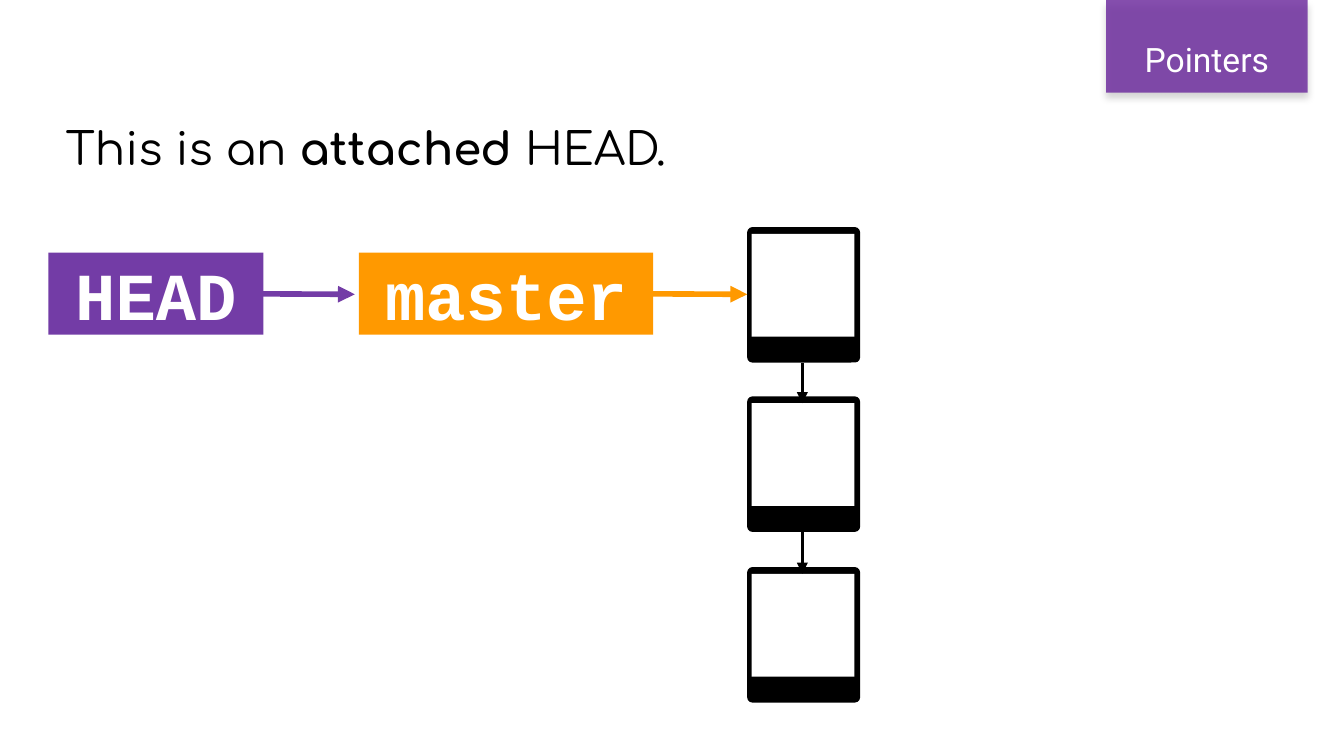
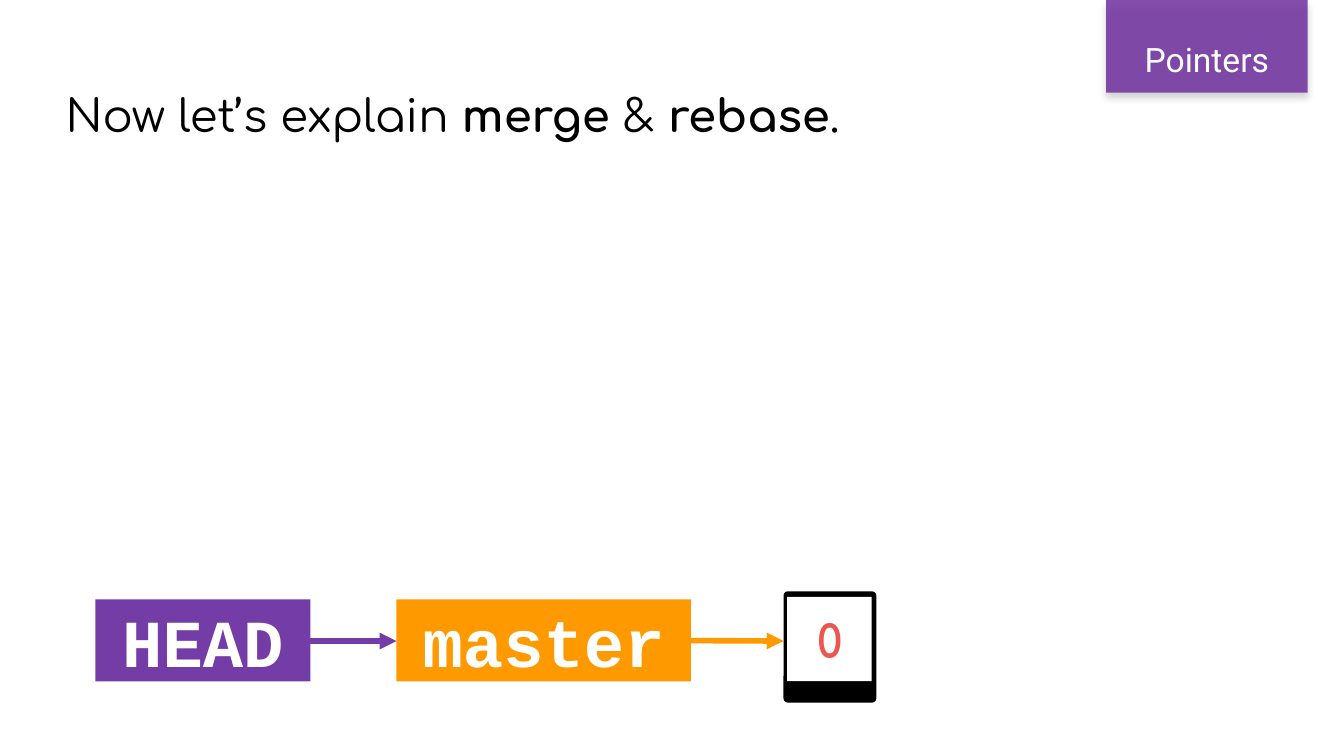
from dataclasses import dataclass

from lxml.etree import SubElement
from pptx import Presentation
from pptx.dml.color import RGBColor
from pptx.enum.shapes import MSO_CONNECTOR, MSO_SHAPE
from pptx.enum.text import MSO_ANCHOR, PP_ALIGN
from pptx.oxml.ns import qn
from pptx.util import Pt

PX = 9144  # EMU in one px, at 100 px to the inch


@dataclass(frozen=True)
class Theme:
    black: str = "000000"
    white: str = "FFFFFF"
    tag: str = "7030A0"
    head: str = "733CA6"
    branch: str = "FF9900"
    number: str = "EB574F"
    title_font: str = "Comfortaa"
    tag_font: str = "Roboto"
    code_font: str = "Courier New"
    title_size: int = 24
    tag_size: int = 18
    code_size: int = 36


THEME = Theme()


def to_emu(*lengths):
    return [round(length * PX) for length in lengths]


def add_block(shapes, box, color, kind=MSO_SHAPE.RECTANGLE):
    block = shapes.add_shape(kind, *to_emu(*box))
    block.shadow.inherit = False
    block.fill.solid()
    block.fill.fore_color.rgb = RGBColor.from_string(color)
    block.line.fill.background()
    return block


def write(holder, parts, font, size, color, align=PP_ALIGN.CENTER):
    """Fill a shape with one paragraph made of (text, bold) parts."""
    frame = holder.text_frame
    frame.word_wrap = True
    frame.vertical_anchor = MSO_ANCHOR.MIDDLE
    frame.margin_left, frame.margin_top, frame.margin_right, frame.margin_bottom = to_emu(10, 10, 10, 10)
    paragraph = frame.paragraphs[0]
    paragraph.alignment = align
    paragraph.font.name = font
    paragraph.font.size = Pt(size)
    paragraph.font.color.rgb = RGBColor.from_string(color)
    for text, bold in parts:
        run = paragraph.add_run()
        run.text = text
        run.font.bold = bold
    return paragraph


def add_title(slide, top, parts):
    title = slide.shapes.add_textbox(*to_emu(39, top, 961, 136))
    write(title, parts, THEME.title_font, THEME.title_size, THEME.black, PP_ALIGN.LEFT)


def add_section_tag(slide, text):
    band = add_block(slide.shapes, (823, 0, 150, 69), THEME.tag)
    properties = band.element.spPr
    fill_color = properties.find(qn("a:solidFill")).find(qn("a:srgbClr"))
    SubElement(fill_color, qn("a:alpha"), val="85000")
    shadow = SubElement(properties.find(qn("a:effectLst")), qn("a:outerShdw"),
                        blurRad=str(Pt(4)), dist=str(Pt(3)), dir="5400000",
                        algn="t", rotWithShape="0")
    shadow_color = SubElement(shadow, qn("a:srgbClr"), val=THEME.black)
    SubElement(shadow_color, qn("a:alpha"), val="20000")

    caption = slide.shapes.add_textbox(*to_emu(823, 13, 150, 47))
    paragraph = write(caption, [(text, False)], THEME.tag_font, THEME.tag_size, THEME.white)
    paragraph.line_spacing = 1.5


def add_arrow(slide, start, end, color, width=3):
    arrow = slide.shapes.add_connector(MSO_CONNECTOR.STRAIGHT, *to_emu(*start, *end))
    arrow.line.color.rgb = RGBColor.from_string(color)
    arrow.line.width = Pt(width)
    SubElement(arrow.element.spPr.find(qn("a:ln")), qn("a:tailEnd"), type="triangle")
    SubElement(arrow.element.spPr, qn("a:effectLst"))


def add_pointer(slide, name, left, top, width, color):
    label = add_block(slide.shapes, (left, top, width, 61), color)
    write(label, [(name, True)], THEME.code_font, THEME.code_size, THEME.white)


def add_commit(slide, left, top, width):
    """Draw a black card with a white square window, sized from its width."""
    card = slide.shapes.add_group_shape().shapes
    frame = add_block(card, (left, top, width, 1.2 * width), THEME.black,
                      MSO_SHAPE.ROUNDED_RECTANGLE)
    frame.adjustments[0] = 0.045
    side = 0.91 * width
    add_block(card, (left + 0.04 * width, top + 0.06 * width, side, side), THEME.white)


def build_attached_head(slide):
    add_title(slide, 42, [("This is an ", False), ("attached ", True), ("HEAD.", False)])
    add_section_tag(slide, "Pointers")
    commit_tops = (169, 295, 422)
    for top in commit_tops:
        add_commit(slide, 556, top, 84)
    for upper_top, lower_top in zip(commit_tops, commit_tops[1:]):
        add_arrow(slide, (597, upper_top + 101), (597, lower_top + 5), THEME.black, 1.5)
    add_arrow(slide, (356, 218), (556, 219), THEME.branch)
    add_pointer(slide, "master", 267, 188, 219, THEME.branch)
    add_arrow(slide, (64, 218), (264, 219), THEME.head)
    add_pointer(slide, "HEAD", 36, 188, 160, THEME.head)


def build_merge_intro(slide):
    add_section_tag(slide, "Pointers")
    add_arrow(slide, (383, 476), (583, 477), THEME.branch)
    add_pointer(slide, "master", 295, 446, 219, THEME.branch)
    add_commit(slide, 583, 440, 69)
    commit_number = slide.shapes.add_textbox(*to_emu(588, 455, 59, 44))
    write(commit_number, [("0", True)], THEME.title_font, THEME.title_size, THEME.number)
    add_title(slide, 17, [("Now let’s explain ", False), ("merge ", True), ("& ", False),
                          ("rebase", True), (".", False)])
    add_arrow(slide, (230, 477), (295, 477), THEME.head)
    add_pointer(slide, "HEAD", 71, 446, 160, THEME.head)


def main():
    deck = Presentation()
    deck.slide_width = 1000 * PX
    deck.slide_height = deck.slide_width * 9 // 16
    blank = deck.slide_layouts[6]
    for build in (build_attached_head, build_merge_intro):
        build(deck.slides.add_slide(blank))
    deck.save("out.pptx")


if __name__ == "__main__":
    main()
